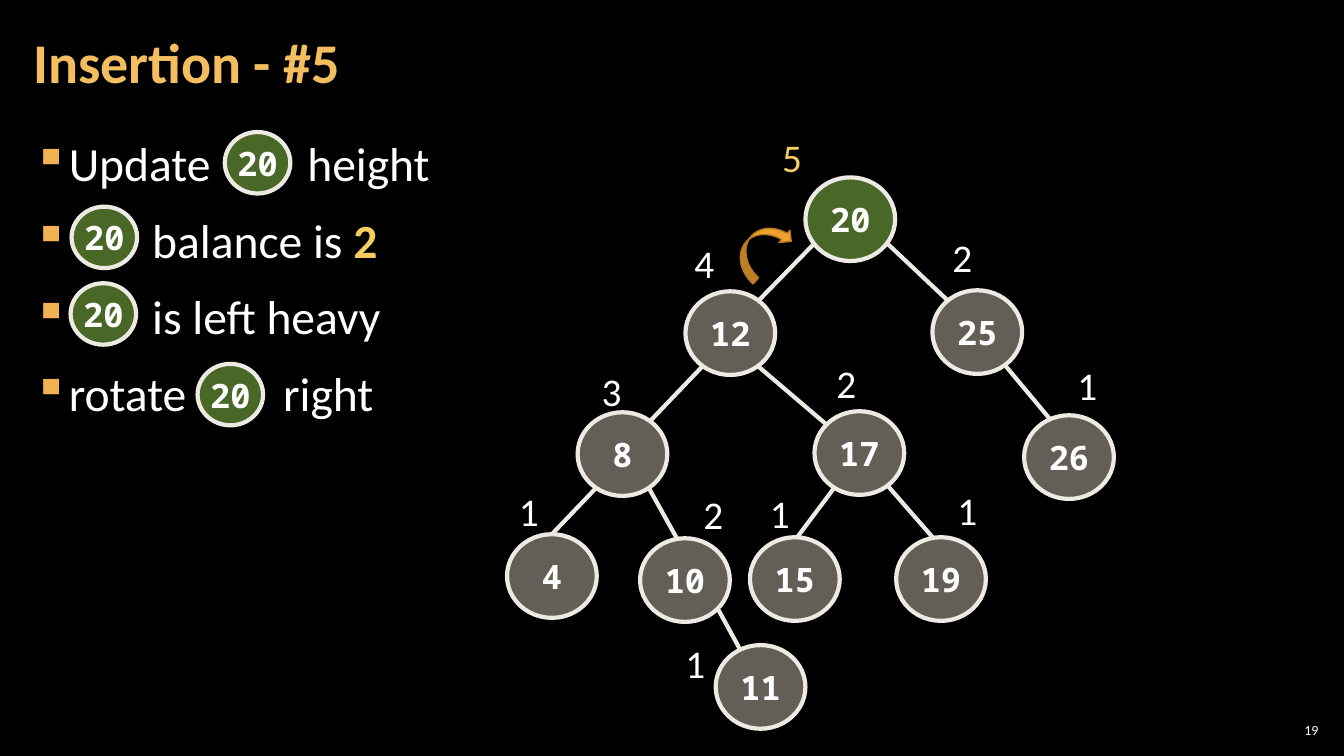
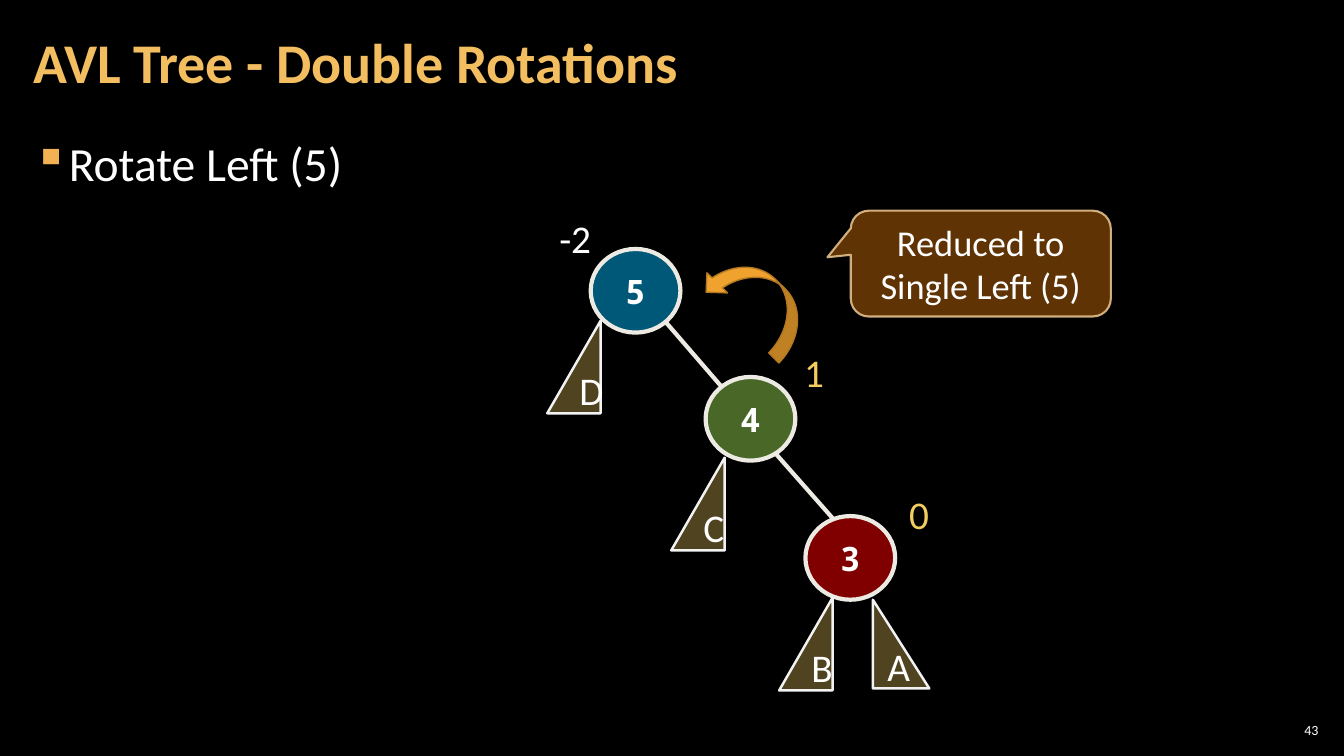
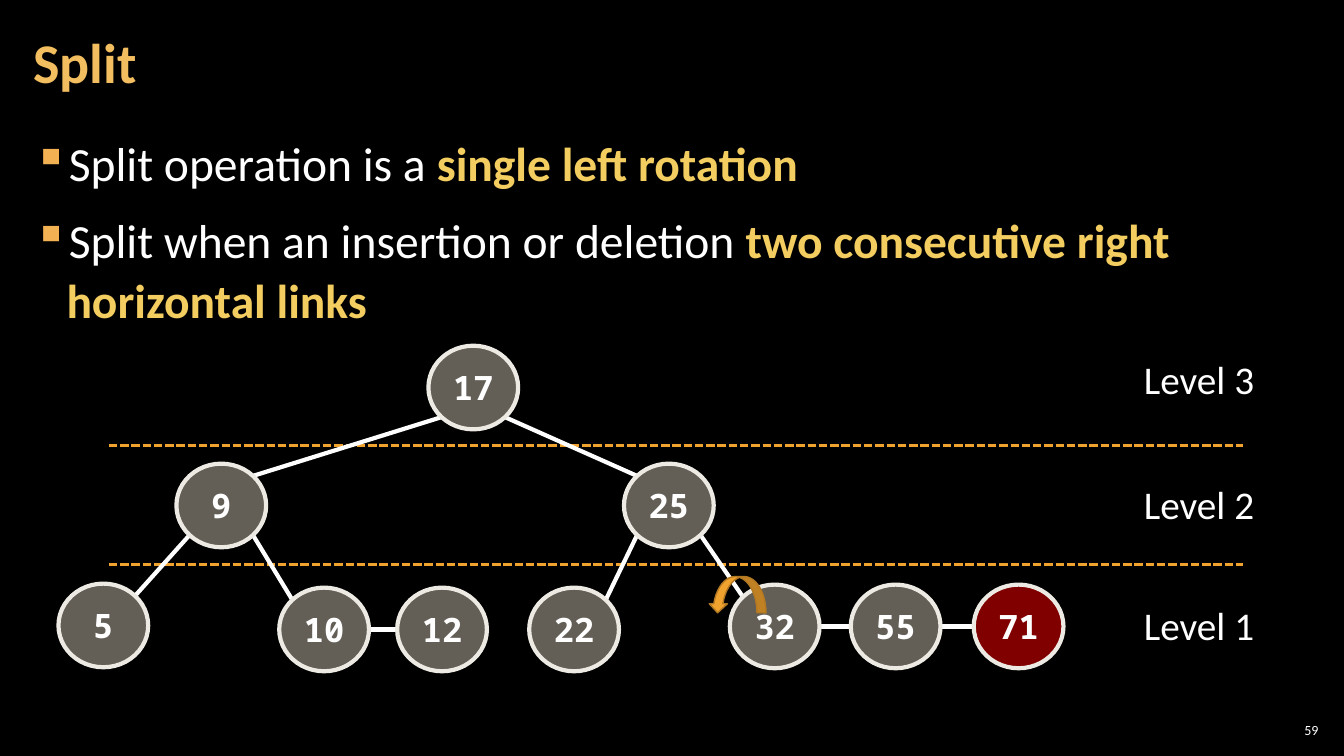
from math import cos, radians, sin

from lxml.etree import SubElement
from pptx import Presentation
from pptx.dml.color import RGBColor
from pptx.enum.dml import MSO_LINE_DASH_STYLE as Dash
from pptx.enum.shapes import MSO_CONNECTOR as Link, MSO_SHAPE as Preset
from pptx.enum.text import MSO_ANCHOR as Anchor, PP_ALIGN as Align
from pptx.oxml.ns import qn
from pptx.util import Inches, Pt

BLACK = RGBColor(0x00, 0x00, 0x00)
WHITE = RGBColor(0xFF, 0xFF, 0xFF)
TITLE_GOLD = RGBColor(0xF3, 0xBE, 0x60)
BULLET_GOLD = "F2B254"
YELLOW = RGBColor(0xF3, 0xCD, 0x60)
ORANGE = RGBColor(0xF0, 0xA2, 0x2E)
DARK_ORANGE = RGBColor(0xB2, 0x78, 0x22)
BROWN = RGBColor(0x66, 0x36, 0x06)
SAND = RGBColor(0xF8, 0xD4, 0x9E)
IVORY = RGBColor(0xEC, 0xEA, 0xE3)
PALE = RGBColor(0xF2, 0xF2, 0xF2)
STONE = RGBColor(0xC7, 0xBF, 0xAC)
GREEN = RGBColor(0x92, 0xD0, 0x50)
BLUE = RGBColor(0x00, 0xB0, 0xF0)
RED = RGBColor(0xFF, 0x00, 0x00)

CELL = Inches(0.1)
COLUMNS, ROWS = 133.33, 75
NODE_W, NODE_H = 8.9, 8.3
BADGE_W, BADGE_H = 6.5, 6.1
INDENT, BADGE_INDENT = 0.33, 1.18
BADGE_GAP = 61.4
STRONG = {"color": YELLOW, "bold": True}
GAP = (" ", {"gap": BADGE_GAP})


def write(paragraph, text, size=28, color=WHITE, bold=False, font="Calibri",
          align=None, gap=None):
    run = paragraph.add_run()
    run.text = text
    run.font.size = Pt(size)
    run.font.name = font
    run.font.bold = bold
    run.font.color.rgb = color
    if gap:
        run.font._element.set("spc", str(round(gap * 100)))
    if align is not None:
        paragraph.alignment = align


def place(slide, box, preset=None, fill=None, alpha=100, line=None, width=1,
          line_alpha=100, flip=False, turn=0, inset=None, anchor=Anchor.MIDDLE,
          wrap=True):
    spot = [round(length * CELL) for length in box]
    if preset is None:
        shape = slide.shapes.add_textbox(*spot)
    else:
        shape = slide.shapes.add_shape(preset, *spot)
        shape.shadow.inherit = False
        shape.fill.solid()
        shape.fill.fore_color.rgb = fill
        shape.line.color.rgb = line
        shape.line.width = Pt(width)
        shape.rotation = turn
        outline = shape._element.spPr
        for holder, share in ((outline, alpha), (outline.find(qn("a:ln")), line_alpha)):
            if share < 100:
                tint = holder.find(qn("a:solidFill")).find(qn("a:srgbClr"))
                SubElement(tint, qn("a:alpha")).set("val", str(share * 1000))
        if flip:
            outline.find(qn("a:xfrm")).set("flipH", "1")
    frame = shape.text_frame
    frame.word_wrap = wrap
    frame.vertical_anchor = anchor
    if inset:
        frame.margin_left = frame.margin_right = Inches(inset[0])
        frame.margin_top = frame.margin_bottom = Inches(inset[1])
    return shape


pages = [
    {
        "title": "Insertion - #5",
        "number": "19",
        "bullets": [
            (INDENT, [("Update", {}), GAP, ("height", {})]),
            (BADGE_INDENT, [("balance is ", {}), ("2", STRONG)]),
            (BADGE_INDENT, [("is left heavy", {})]),
            (INDENT, [("rotate", {}), GAP, ("right", {})]),
        ],
        "nodes": {
            "20": (79.9, 17.6, GREEN), "25": (92.5, 28.8, STONE),
            "12": (68, 28.9, STONE), "8": (57.3, 40.9, STONE),
            "17": (80.8, 40.8, STONE), "26": (101.6, 41.2, STONE),
            "4": (50.3, 53, STONE), "10": (63.5, 53.4, STONE),
            "15": (74.4, 53.3, STONE), "19": (88.9, 53.3, STONE),
            "11": (71, 64, STONE),
        },
        "edge_color": IVORY,
        "edges": [
            ("20", 216, "12", 51), ("12", 232, "8", 52), ("12", 308, "17", 137),
            ("20", 325, "25", 131), ("25", 308, "26", 115), ("8", 234, "4", 90),
            ("8", 306, "10", 100), ("17", 236, "15", 87), ("17", 309, "19", 100),
            ("10", 317, "11", 117),
        ],
        "labels": [
            ("1", 50.5, 47.9, WHITE), ("2", 68.8, 48.2, WHITE),
            ("1", 75.4, 48.1, WHITE), ("1", 94, 47.8, WHITE),
            ("3", 58.7, 35.9, WHITE), ("2", 82, 35.2, WHITE),
            ("4", 67.9, 23.3, WHITE), ("1", 105.9, 35.4, WHITE),
            ("2", 93.5, 22.7, WHITE), ("5", 76.6, 12.7, YELLOW),
            ("1", 67, 62.9, WHITE),
        ],
        "badges": [(22.3, 13.1), (7.1, 20.5), (7, 28.1), (19.6, 36.1)],
        "arrow": ((72.4, 23, 6.5, 3.3), 311.8, False),
    },
    {
        "title": "AVL Tree - Double Rotations",
        "number": "43",
        "bullets": [(INDENT, [("Rotate Left (5)", {})])],
        "nodes": {
            "5": (58.6, 24.7, BLUE), "4": (70, 37.4, GREEN), "3": (79.9, 51.2, RED),
        },
        "edge_color": IVORY,
        "edges": [("5", 312, "4", 130), ("4", 304, "3", 112)],
        "labels": [
            ("-2", 54.5, 20.8, WHITE), ("1", 78.8, 34.1, YELLOW),
            ("0", 89.2, 48.2, YELLOW),
        ],
        "subtrees": [
            ("D", (54.3, 31.8, 5.3, 9.2), True), ("C", (66.6, 45.4, 5.3, 9.2), True),
            ("B", (77.3, 59.3, 5.3, 9.2), True), ("A", (86.6, 59.5, 5.6, 8.8), False),
        ],
        "callout": ("Reduced to Single Left (5)", (84.4, 20.9, 25.8, 10.5)),
        "arrow": ((69.4, 27.1, 11.5, 5.7), 44.2, True),
    },
    {
        "title": "Split",
        "number": "59",
        "bullets": [
            (INDENT, [("Split operation is a ", {}), ("single left rotation", STRONG)]),
            (INDENT, [("Split when an insertion or deletion ", {}),
                      ("two consecutive right horizontal links", STRONG)]),
        ],
        "nodes": {
            "17": (42.5, 34.3, STONE), "25": (61.9, 46, STONE), "9": (17.5, 46, STONE),
            "5": (5.8, 57.9, STONE), "10": (27.7, 58.3, STONE),
            "12": (39.4, 58.3, STONE), "22": (52.5, 58.3, STONE),
            "32": (72.4, 58, STONE), "55": (84.4, 58, STONE), "71": (96.6, 58, RED),
        },
        "edge_color": WHITE,
        "edges": [
            ("17", 315, "25", 135), ("17", 225, "9", 45), ("25", 225, "22", 45),
            ("25", 315, "32", 135), ("9", 315, "10", 135), ("9", 225, "5", 45),
            ("10", 0, "12", 180), ("32", 0, "55", 180), ("55", 0, "71", 180),
        ],
        "labels": [
            ("Level 3", 112.5, 34.8, WHITE), ("Level 2", 112.5, 47.2, WHITE),
            ("Level 1", 112.5, 59.2, WHITE),
        ],
        "level_rows": [44.2, 56],
        "arrow": ((70.3, 57.2, 5.7, 3.6), 0, True),
    },
]

deck = Presentation()
deck.slide_width = round(COLUMNS * CELL)
deck.slide_height = ROWS * CELL
backdrop = deck.slide_master.background.fill
backdrop.solid()
backdrop.fore_color.rgb = BLACK

for page in pages:
    slide = deck.slides.add_slide(deck.slide_layouts[6])

    number = place(slide, (126.5, 71.4, 4.7, 2.1), inset=(0.04, 0.04))
    write(number.text_frame.paragraphs[0], page["number"], size=10, align=Align.RIGHT)

    title = place(slide, (2.1, 0.4, 104.7, 12.1), inset=(0.12, 0.04))
    heading = title.text_frame.paragraphs[0]
    heading.line_spacing = 0.9
    write(heading, page["title"], size=40, color=TITLE_GOLD, bold=True)

    body = place(slide, (2.1, 12.6, 129.1, 60.9), inset=(0.12, 0.04), anchor=Anchor.TOP)
    for order, (indent, runs) in enumerate(page["bullets"]):
        frame = body.text_frame
        bullet = frame.add_paragraph() if order else frame.paragraphs[0]
        layout = bullet._p.get_or_add_pPr()
        layout.set("marL", str(Inches(indent)))
        layout.set("indent", str(-Inches(indent)))
        SubElement(SubElement(layout, qn("a:buClr")), qn("a:srgbClr")).set("val", BULLET_GOLD)
        SubElement(layout, qn("a:buChar")).set("char", "▪")
        bullet.line_spacing = 1.05
        bullet.space_before = Pt(6 if order else 0)
        bullet.space_after = Pt(6)
        for text, style in runs:
            write(bullet, text, size=34, **style)

    strokes = [((10.8, row), (123.3, row), ORANGE, 2, Dash.SQUARE_DOT)
               for row in page.get("level_rows", [])]
    for parent, leaving, child, arriving in page["edges"]:
        ends = []
        for name, angle in ((parent, leaving), (child, arriving)):
            left, top, _ = page["nodes"][name]
            ends.append((left + NODE_W / 2 * (1 + cos(radians(angle))),
                         top + NODE_H / 2 * (1 - sin(radians(angle)))))
        strokes.append((*ends, page["edge_color"], 3, None))
    for start, end, color, width, dash in strokes:
        stroke = slide.shapes.add_connector(
            Link.STRAIGHT, *[round(length * CELL) for length in (*start, *end)])
        stroke.line.color.rgb = color
        stroke.line.width = Pt(width)
        if dash:
            stroke.line.dash_style = dash
        SubElement(stroke._element.spPr, qn("a:effectLst"))

    circles = [(key, (left, top, NODE_W, NODE_H), color)
               for key, (left, top, color) in page["nodes"].items()]
    circles += [("20", (left, top, BADGE_W, BADGE_H), GREEN)
                for left, top in page.get("badges", [])]
    for key, box, color in circles:
        node = place(slide, box, Preset.OVAL, fill=color, alpha=50, line=IVORY,
                     width=3, wrap=False)
        write(node.text_frame.paragraphs[0], key, size=24, bold=True,
              font="Noto Sans Mono", align=Align.CENTER)

    for letter, box, flip in page.get("subtrees", []):
        subtree = place(slide, box, Preset.RIGHT_TRIANGLE, fill=YELLOW, alpha=33,
                        line=PALE, width=1.75, flip=flip)
        write(subtree.text_frame.paragraphs[0], letter, align=Align.CENTER)

    for text, left, top, color in page["labels"]:
        label = place(slide, (left, top, 4 + 1.5 * len(text), 5.7), anchor=Anchor.TOP)
        write(label.text_frame.paragraphs[0], text, color=color)

    if "callout" in page:
        remark, box = page["callout"]
        callout = place(slide, box, Preset.ROUNDED_RECTANGULAR_CALLOUT, fill=BROWN,
                        alpha=95, line=SAND, width=1.5, line_alpha=80)
        for index, share in enumerate((-0.59, -0.06, 0.17)):
            callout.adjustments[index] = share
        write(callout.text_frame.paragraphs[0], remark, size=26, align=Align.CENTER)

    box, turn, flip = page["arrow"]
    place(slide, box, Preset.CURVED_DOWN_ARROW, fill=ORANGE, line=DARK_ORANGE,
          turn=turn, flip=flip)

deck.save("out.pptx")
